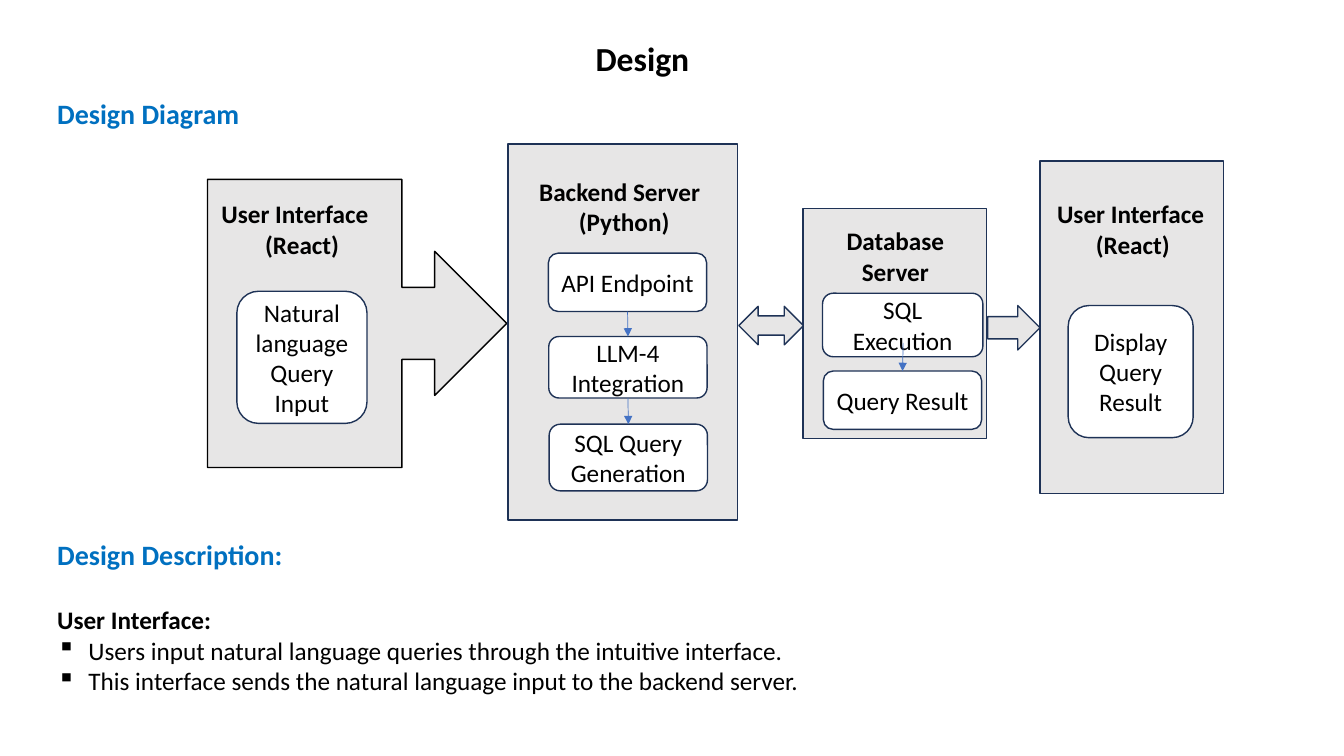
from lxml import etree
from pptx import Presentation
from pptx.dml.color import RGBColor
from pptx.enum.shapes import MSO_CONNECTOR, MSO_SHAPE
from pptx.enum.text import MSO_ANCHOR, MSO_AUTO_SIZE, PP_ALIGN
from pptx.oxml.ns import qn
from pptx.util import Cm, Pt

LEFT, CENTER = PP_ALIGN.LEFT, PP_ALIGN.CENTER
MIDDLE = MSO_ANCHOR.MIDDLE
FIT_TEXT = MSO_AUTO_SIZE.SHAPE_TO_FIT_TEXT
STRAIGHT = MSO_CONNECTOR.STRAIGHT
RECTANGLE = MSO_SHAPE.RECTANGLE
PROCESS = MSO_SHAPE.FLOWCHART_PROCESS
ROUNDED = MSO_SHAPE.ROUNDED_RECTANGLE
CALLOUT = MSO_SHAPE.RIGHT_ARROW_CALLOUT
RIGHT_ARROW = MSO_SHAPE.RIGHT_ARROW
TWO_WAY_ARROW = MSO_SHAPE.LEFT_RIGHT_ARROW
TOP, BOTTOM = 0, 2

FONT = "Calibri"
BLACK, WHITE, GREY = "000000", "FFFFFF", "E7E6E6"
NAVY, BLUE, HEADING_BLUE = "1E3256", "4472C4", "0070C0"
PAGE_LEFT = 1.19
BULLET_INDENT = Cm(0.79)


def color(hex_code):
    return RGBColor.from_string(hex_code)


def add_bullet(paragraph):
    properties = paragraph._p.get_or_add_pPr()
    properties.set("marL", str(BULLET_INDENT))
    properties.set("indent", str(-BULLET_INDENT))
    etree.SubElement(properties, qn("a:buChar")).set("char", "▪")


def write(frame, text, size=18, bold=False, fill=BLACK, align=LEFT,
          first_align=None, bullets=()):
    """Write one paragraph per line, then the bullets in regular weight."""
    lines = text.split("\n")
    frame.word_wrap = True
    for index, line in enumerate([*lines, *bullets]):
        paragraph = frame.paragraphs[0] if index == 0 else frame.add_paragraph()
        is_first = index == 0 and first_align is not None
        paragraph.alignment = first_align if is_first else align
        is_bullet = index >= len(lines)
        if is_bullet:
            add_bullet(paragraph)
        run = paragraph.add_run()
        run.text = line
        run.font.name = FONT
        run.font.size = Pt(size)
        run.font.bold = bold and not is_bullet
        run.font.color.rgb = color(fill)


def add_label(slide, bounds, text, **style):
    label = slide.shapes.add_textbox(*map(Cm, bounds))
    write(label.text_frame, text, bold=True, **style)
    label.text_frame.auto_size = FIT_TEXT


def add_block(slide, kind, bounds, fill=GREY, outline=NAVY):
    block = slide.shapes.add_shape(kind, *map(Cm, bounds))
    block.shadow.inherit = False
    block.fill.solid()
    block.fill.fore_color.rgb = color(fill)
    block.line.color.rgb = color(outline)
    block.line.width = Pt(1)
    return block


def add_step(slide, bounds, text):
    step = add_block(slide, ROUNDED, bounds, fill=WHITE)
    frame = step.text_frame
    frame.margin_left = frame.margin_right = Cm(0.2)
    frame.vertical_anchor = MIDDLE
    write(frame, text, align=CENTER)
    return step


def add_flow(slide, target, source=None, start=(0, 0)):
    """Point at the top of target, from the bottom of source or from start."""
    x, y = map(Cm, start)
    flow = slide.shapes.add_connector(STRAIGHT, x, y, x, y)
    if source is not None:
        flow.begin_connect(source, BOTTOM)
    flow.end_connect(target, TOP)
    flow.line.color.rgb = color(BLUE)
    flow.line.width = Pt(0.5)
    outline = flow.line._get_or_add_ln()
    etree.SubElement(outline, qn("a:tailEnd")).set("type", "triangle")
    etree.SubElement(flow._element.spPr, qn("a:effectLst"))


def add_user_interface_input(slide):
    add_block(slide, CALLOUT, (5.23, 4.52, 7.54, 7.26), outline=BLACK)
    add_step(slide, (5.97, 7.34, 3.28, 3.33), "Natural language Query\nInput")
    add_label(slide, (5.33, 4.88, 4.57, 1.8), "User Interface\n(React)",
              align=CENTER, first_align=LEFT)


def add_backend(slide):
    add_block(slide, PROCESS, (12.8, 3.63, 5.79, 9.47))
    add_label(slide, (13.34, 4.32, 4.78, 1.8), "Backend Server\n(Python)",
              align=CENTER, first_align=LEFT)
    endpoint = add_step(slide, (13.82, 6.38, 3.99, 1.47), "API Endpoint")
    model = add_step(slide, (13.83, 8.48, 3.99, 1.55), "LLM-4\nIntegration")
    generation = add_step(slide, (13.84, 10.69, 3.99, 1.68),
                          "SQL Query\nGeneration")
    add_flow(slide, model, source=endpoint)
    add_flow(slide, generation, source=model)


def add_database(slide):
    add_block(slide, RECTANGLE, (20.24, 5.26, 4.62, 5.79))
    add_block(slide, TWO_WAY_ARROW, (18.62, 7.72, 1.63, 0.97))
    add_label(slide, (21.03, 5.56, 3.07, 1.8), "Database Server", align=CENTER)
    add_step(slide, (20.73, 7.39, 4.04, 1.6), "SQL Execution")
    result = add_step(slide, (20.75, 9.35, 3.99, 1.47), "Query Result")
    add_flow(slide, result, start=(22.76, 8.64))


def add_user_interface_output(slide):
    add_block(slide, RECTANGLE, (26.21, 4.06, 4.62, 8.38))
    add_label(slide, (26.39, 4.88, 4.32, 1.8), "User Interface\n(React)",
              align=CENTER, first_align=LEFT)
    add_step(slide, (26.92, 7.7, 3.15, 3.33), "Display Query\nResult")
    add_block(slide, RIGHT_ARROW, (24.89, 7.7, 1.32, 1.12))


def main():
    deck = Presentation()
    deck.slide_width, deck.slide_height = Cm(33.87), Cm(19.05)
    slide = deck.slides.add_slide(deck.slide_layouts[6])

    add_label(slide, (4.52, 0.84, 23.34, 1.27), "Design", size=24, align=CENTER)
    add_label(slide, (PAGE_LEFT, 2.31, 16.94, 1.12), "Design Diagram",
              size=20, fill=HEADING_BLUE)
    add_user_interface_input(slide)
    add_backend(slide)
    add_database(slide)
    add_user_interface_output(slide)

    add_label(slide, (PAGE_LEFT, 13.41, 12.12, 1.12), "Design Description:",
              size=20, fill=HEADING_BLUE)
    add_label(slide, (PAGE_LEFT, 15.11, 30, 3.33), "User Interface:", bullets=(
        "Users input natural language queries through the intuitive interface.",
        "This interface sends the natural language input to the backend server.",
    ))
    deck.save("out.pptx")


if __name__ == "__main__":
    main()
